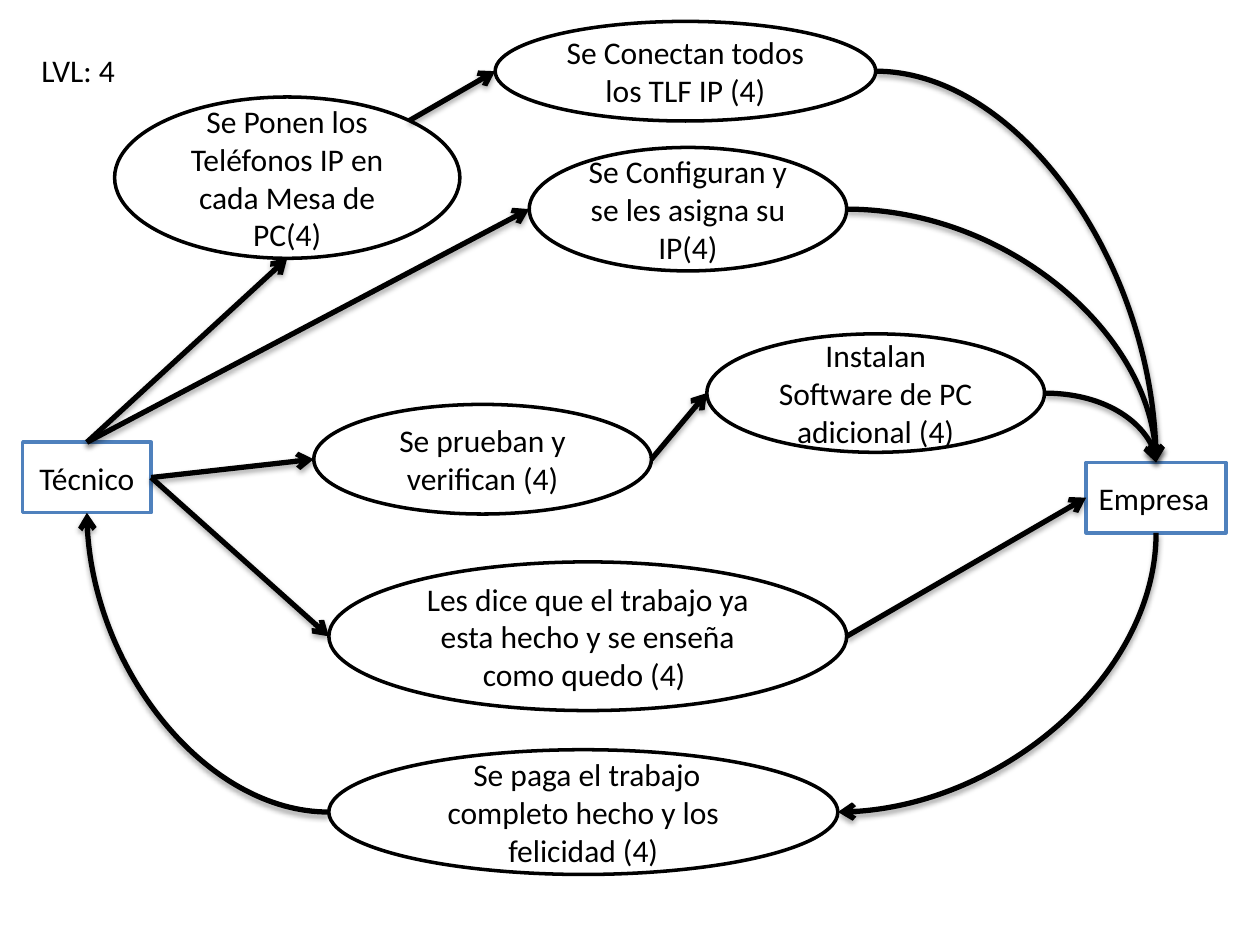
import math
import pptx
import pptx.util
import pptx.dml.color
import pptx.enum.shapes
import pptx.enum.text
import pptx.oxml
import pptx.oxml.ns

Inches, Pt = pptx.util.Inches, pptx.util.Pt
SHAPE = pptx.enum.shapes.MSO_SHAPE
LINK = pptx.enum.shapes.MSO_CONNECTOR
ALIGN = pptx.enum.text.PP_ALIGN
COLORS = {"ink": "000000", "paper": "FFFFFF", "blue": "4F81BD"}

LEVEL = ("LVL: 4", (0.23, 0.36, 0.8, 0.4))
ACTORS = {
    "firm": ("Empresa", (8.62, 3.67, 1.11, 0.56), ALIGN.LEFT),
    "tech": ("Técnico", (0.18, 3.51, 1.02, 0.56), ALIGN.CENTER),
}
STEPS = {
    "place": ("Se Ponen los Teléfonos IP en cada Mesa de PC(4)", (0.91, 0.77, 2.74, 1.28)),
    "plug": ("Se Conectan todos los TLF IP (4)", (3.93, 0.17, 3.02, 0.79)),
    "setup": ("Se Configuran y se les asigna su IP(4)", (4.2, 1.17, 2.52, 0.98)),
    "test": ("Se prueban y verifican (4)", (2.49, 3.21, 2.68, 0.87)),
    "pay": (" Se paga el trabajo completo hecho y los felicidad (4)", (2.61, 5.95, 4.04, 0.99)),
    "install": ("Instalan Software de PC adicional (4)", (5.61, 2.65, 2.68, 0.94)),
    "report": ("Les dice que el trabajo ya esta hecho y se enseña como quedo (4) ",
               (2.61, 4.46, 4.11, 1.18)),
}
# Start and side, end and side
STRAIGHT = [
    ("tech", "top", "place", "bottom"),
    ("tech", "top", "setup", "left"),
    ("place", "corner", "plug", "left"),
    ("tech", "right", "test", "left"),
    ("test", "right", "install", "left"),
    ("tech", "right", "report", "left"),
    ("report", "right", "firm", "left"),
]
# The last value is the clockwise turn in degrees
CURVED = [
    ("plug", "right", "firm", "top", 0),
    ("setup", "right", "firm", "top", 0),
    ("install", "right", "firm", "top", 0),
    ("firm", "bottom", "pay", "right", 90),
    ("pay", "left", "tech", "bottom", 180),
]
DIAG = math.sqrt(0.5)
SIDES = {"top": (0, -1), "bottom": (0, 1), "left": (-1, 0), "right": (1, 0),
         "corner": (DIAG, -DIAG)}
BOXES = {key: item[1] for key, item in {**ACTORS, **STEPS}.items()}
SHADOW = (
    f'<a:effectLst {pptx.oxml.ns.nsdecls("a")}>'
    '<a:outerShdw blurRad="40000" dist="23000" dir="5400000" rotWithShape="0">'
    f'<a:srgbClr val="{COLORS["ink"]}"><a:alpha val="35000"/></a:srgbClr>'
    '</a:outerShdw></a:effectLst>')
TAIL = f'<a:tailEnd {pptx.oxml.ns.nsdecls("a")} type="arrow"/>'


def color(name):
    """Return a named colour."""
    return pptx.dml.color.RGBColor.from_string(COLORS[name])


def write(shape, text, align):
    """Put one formatted paragraph into a shape."""
    para = shape.text_frame.paragraphs[0]
    para.text, para.alignment = text, align
    para.font.name, para.font.size = "Calibri", Pt(18)
    para.font.color.rgb = color("ink")


def add_node(slide, kind, text, box, edge, align=ALIGN.CENTER):
    """Add a white outlined shape with text."""
    node = slide.shapes.add_shape(kind, *map(Inches, box))
    node.shadow.inherit = False
    node.fill.solid()
    node.fill.fore_color.rgb = color("paper")
    node.line.color.rgb, node.line.width = color(edge), Pt(2)
    node.text_frame.word_wrap = True
    node.text_frame.vertical_anchor = pptx.enum.text.MSO_ANCHOR.MIDDLE
    write(node, text, align)


def site(key, side):
    """Find a point on the edge of a node."""
    x, y, w, h = BOXES[key]
    dx, dy = SIDES[side]
    return x + w / 2 * (1 + dx), y + h / 2 * (1 + dy)


def add_arrow(slide, kind, start, end):
    """Add a thick black arrow with a soft shadow."""
    arrow = slide.shapes.add_connector(kind, *map(Inches, start + end))
    arrow.line.color.rgb, arrow.line.width = color("ink"), Pt(3)
    arrow.line._get_or_add_ln().append(pptx.oxml.parse_xml(TAIL))
    arrow._element.spPr.append(pptx.oxml.parse_xml(SHADOW))
    return arrow


def add_curve(slide, start, end, turn):
    """Add a quarter-curve arrow, turned about its centre."""
    (x1, y1), (x2, y2) = start, end
    w, h = abs(x2 - x1), abs(y2 - y1)
    if turn % 180:
        w, h = h, w
    x, y = (x1 + x2 - w) / 2, (y1 + y2 - h) / 2
    arrow = add_arrow(slide, LINK.CURVE, (x, y), (x + w, y + h))
    props = arrow._element.spPr
    props.find(pptx.oxml.ns.qn("a:prstGeom")).set("prst", "curvedConnector2")
    if turn:
        props.find(pptx.oxml.ns.qn("a:xfrm")).set("rot", str(turn * 60000))


def build():
    """Build and save the process diagram."""
    deck = pptx.Presentation()
    deck.slide_width, deck.slide_height = Inches(10), Inches(7.5)
    slide = deck.slides.add_slide(deck.slide_layouts[6])
    for text, box, align in ACTORS.values():
        add_node(slide, SHAPE.RECTANGLE, text, box, "blue", align)
    text, box = LEVEL
    label = slide.shapes.add_textbox(*map(Inches, box))
    label.text_frame.word_wrap = False
    label.text_frame.auto_size = pptx.enum.text.MSO_AUTO_SIZE.SHAPE_TO_FIT_TEXT
    write(label, text, ALIGN.LEFT)
    for text, box in STEPS.values():
        add_node(slide, SHAPE.OVAL, text, box, "ink")
    for a, out, b, into in STRAIGHT:
        add_arrow(slide, LINK.STRAIGHT, site(a, out), site(b, into))
    for a, out, b, into, turn in CURVED:
        add_curve(slide, site(a, out), site(b, into), turn)
    deck.save("out.pptx")


build()
